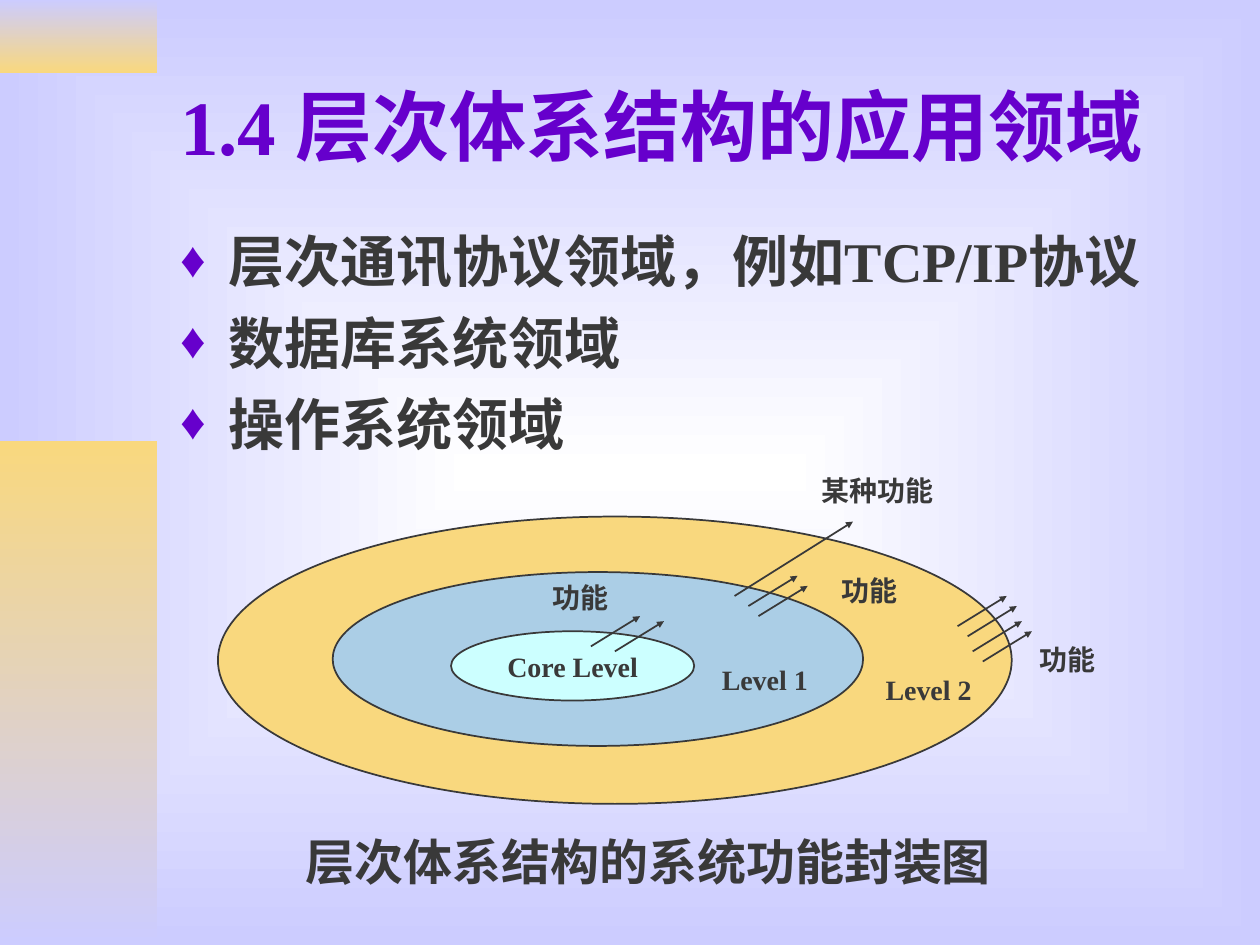
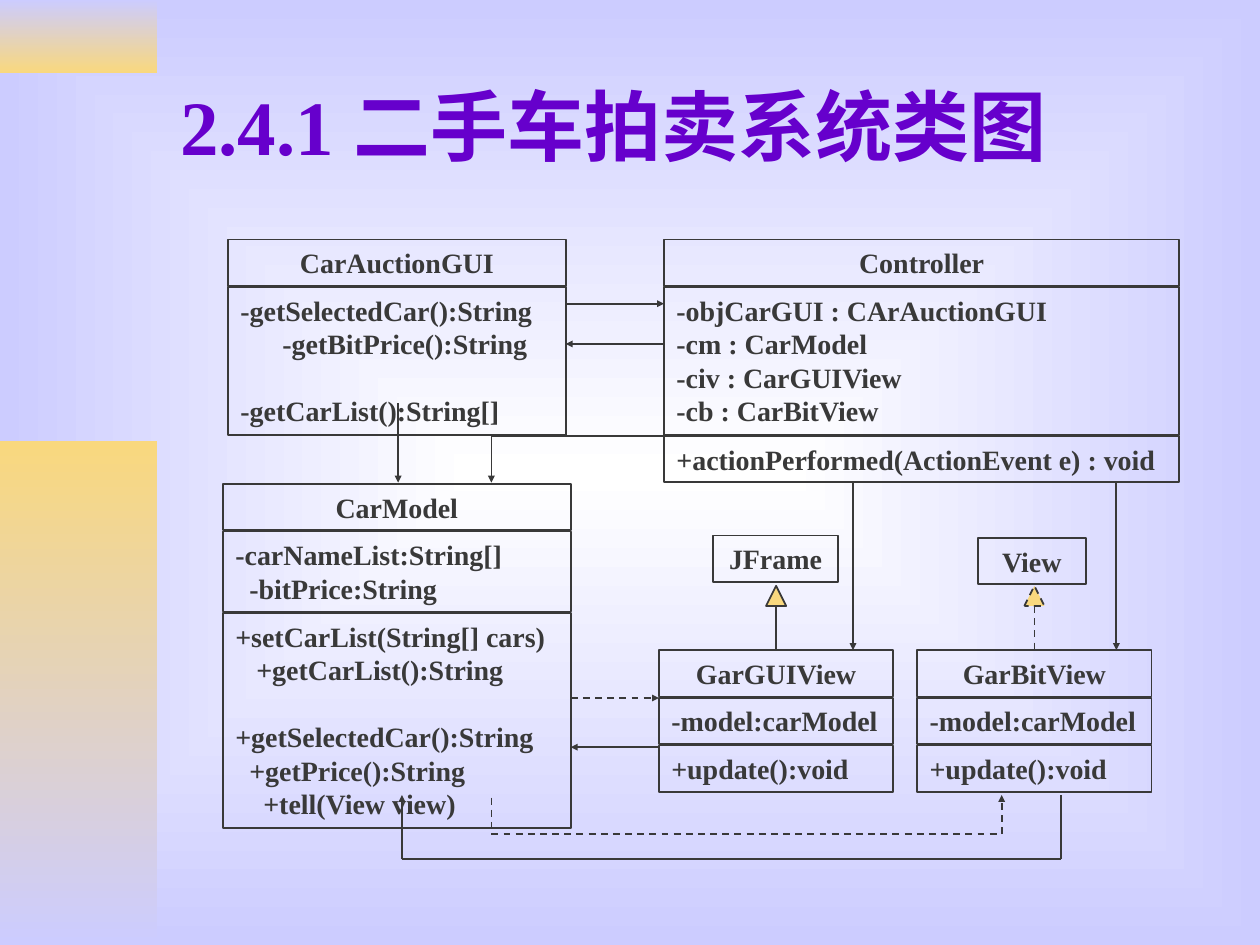
from itertools import pairwise
from lxml.etree import SubElement
from pptx import Presentation
from pptx.dml.color import RGBColor
from pptx.enum.dml import MSO_LINE
from pptx.enum.shapes import MSO_CONNECTOR, MSO_SHAPE
from pptx.enum.text import MSO_ANCHOR, MSO_AUTO_SIZE, PP_ALIGN
from pptx.oxml.ns import qn
from pptx.util import Inches, Pt

WIDE, HIGH = Inches(10), Inches(7.5)
COLS = 100
FONT = "Times New Roman"
HUE = {
    "ink": "393939", "title": "6600CC", "gold": "F9D87E", "lilac": "CCCCFF",
    "white": "FFFFFF", "blue": "99CCFF", "aqua": "CCFFFF",
}


def grid(*cells):
    """Turn grid cells into slide lengths."""
    return [round(cell * WIDE / COLS) for cell in cells]


def tone(name):
    """Look up a colour by its name."""
    return RGBColor.from_string(HUE[name])


def style(par, size=16, hue="ink", align=PP_ALIGN.LEFT):
    """Format one paragraph."""
    par.alignment = align
    par.line_spacing = Pt(size * 1.2)
    par.space_before = Pt(0)
    par.font.name = FONT
    par.font.size = Pt(size)
    par.font.bold = True
    par.font.color.rgb = tone(hue)


def blend(fill, first, last):
    """Fill with a top-down gradient."""
    fill.gradient()
    for stop, name in zip(fill.gradient_stops, (first, last)):
        stop.color.rgb = tone(name)
    fill.gradient_angle = 270


def shape(slide, kind, box, fill=None, dash=False):
    """Add a thin-lined preset shape."""
    item = slide.shapes.add_shape(kind, *grid(*box))
    item.shadow.inherit = False
    if fill:
        item.fill.solid()
        item.fill.fore_color.rgb = tone(fill)
    else:
        item.fill.background()
    pen(item.line, dash)
    return item


def pen(line, dash=False):
    """Set the common line look."""
    line.color.rgb = tone("ink")
    line.width = Pt(1)
    if dash:
        line.dash_style = MSO_LINE.DASH


def route(slide, left, top, points, dash=False, head=True):
    """Draw a path of straight lines and return its last line."""
    spots = [grid(left + x, top + y) for x, y in points]
    for start, end in pairwise(spots):
        link = slide.shapes.add_connector(MSO_CONNECTOR.STRAIGHT, *start, *end)
        pen(link.line, dash)
        SubElement(link._element.spPr, qn("a:effectLst"))
    if head:
        SubElement(link.line._get_or_add_ln(), qn("a:tailEnd"),
                   type="triangle", w="sm", len="sm")
    return link


def label(slide, x, y, width, height, text, size=16):
    """Add a one-line text box."""
    box = slide.shapes.add_textbox(*grid(x, y, width, height))
    box.text_frame.word_wrap = False
    box.text_frame.text = text
    style(box.text_frame.paragraphs[0], size)


def bands(slide, master):
    """Put the side bands on the master."""
    rows = [(0, 5.8, "lilac", "gold"), (35, 40, "gold", "lilac")]
    for spot, (top, height, first, last) in enumerate(rows, 2):
        band = shape(slide, MSO_SHAPE.RECTANGLE, (0, top, 12.5, height))
        blend(band.fill, first, last)
        band.line.fill.background()
        master.shapes._spTree.insert(spot, band._element)


def theme(deck, slide):
    """Dress the master with its background and bands."""
    master = deck.slide_master
    blend(master.background.fill, "white", "lilac")
    grad = master.element.xpath("./p:cSld/p:bg//a:gradFill")[0]
    grad.remove(grad.find(qn("a:lin")))
    ray = SubElement(grad, qn("a:path"), path="rect")
    SubElement(ray, qn("a:fillToRect"), l="50000", t="50000", r="50000", b="50000")
    bands(slide, master)


def place(item, box):
    """Move a placeholder and return its text frame."""
    item.left, item.top, item.width, item.height = grid(*box)
    frame = item.text_frame
    frame.auto_size = MSO_AUTO_SIZE.NONE
    frame.word_wrap = True
    return frame


def title(slide, text):
    """Fill the slide title."""
    frame = place(slide.shapes.title, (13.3, 3.3, 85, 13.2))
    frame.vertical_anchor = MSO_ANCHOR.MIDDLE
    frame.text = text
    style(frame.paragraphs[0], 44, "title")


def points(slide, box, lines):
    """Fill the body with diamond bullets."""
    frame = place(slide.placeholders[1], box)
    frame.text = "\n".join(lines)
    for row, par in enumerate(frame.paragraphs):
        props = par._p.get_or_add_pPr()
        props.set("marL", str(Inches(0.38)))
        props.set("indent", str(-Inches(0.38)))
        paint = SubElement(props, qn("a:buClr"))
        SubElement(paint, qn("a:srgbClr"), val=HUE["title"])
        SubElement(props, qn("a:buSzPct"), val="90000")
        SubElement(props, qn("a:buFont"), typeface=FONT)
        SubElement(props, qn("a:buChar"), char="♦")
        style(par, 32)
        if row:
            par.space_before = Pt(8)


def rings(slide, left, top):
    """Draw the nested levels with their calls."""
    oval = MSO_SHAPE.OVAL
    shape(slide, oval, (left, top, 63, 22.8), "gold")
    mid = shape(slide, oval, (left + 9.1, top + 4.4, 42.1, 13.8), "blue")
    paint = mid._element.spPr.find(qn("a:solidFill"))[0]
    SubElement(paint, qn("a:alpha"), val="81000")
    core = shape(slide, oval, (left + 18.5, top + 9.1, 19.3, 5.5), "aqua")
    core.text_frame.word_wrap = False
    core.text_frame.vertical_anchor = MSO_ANCHOR.MIDDLE
    core.text_frame.text = "Core Level"
    style(core.text_frame.paragraphs[0], align=PP_ALIGN.CENTER)
    tags = [
        (39, 11.1, 8.8, "Level 1"), (52, 11.9, 8.8, "Level 2"),
        (25.6, 4.6, 6.4, "功能"), (48.5, 4, 6.4, "功能"),
        (64.2, 9.5, 6.4, "功能"), (46.9, -3.9, 13.8, "某种功能"),
    ]
    for x, y, width, text in tags:
        label(slide, left + x, top + y, width, 3.7, text)
    starts = [
        (29.6, 10.3), (31.5, 10.7), (42.9, 7.9), (42.1, 7.1),
        (59.5, 9.5), (60.7, 11.5), (59.9, 10.7), (58.7, 8.7),
    ]
    for x, y in starts:
        route(slide, left, top, [(x, y), (x + 3.9, y - 2.4)])
    route(slide, left, top, [(41, 6.3), (50.4, 0.4)])


def block(slide, left, top, width, name, *parts):
    """Stack a class box and return its name cell."""
    cells = []
    for part in ([(name, 0, 0)], *parts):
        lines = sum(1 + gap for _, _, gap in part)
        height = 1 + 2.68 * lines
        cell = shape(slide, MSO_SHAPE.RECTANGLE, (left, top, width, height))
        frame = cell.text_frame
        frame.word_wrap = True
        frame.vertical_anchor = MSO_ANCHOR.TOP
        frame.text = "\n".join(text for text, _, _ in part)
        align = PP_ALIGN.LEFT if cells else PP_ALIGN.CENTER
        for par, (_, shift, gap) in zip(frame.paragraphs, part):
            par._p.get_or_add_pPr().set("marL", str(Pt(4 * shift)))
            style(par, align=align)
            par.space_before = Pt(19.2 * gap)
        cells.append(cell)
        top += height + 0.1
    return cells[0]


def flat(*lines):
    """Give lines no shift and no gap."""
    return [(line, 0, 0) for line in lines]


def classes(slide, left, top):
    """Draw the class diagram."""
    block(slide, left + 0.4, top, 26.8, "CarAuctionGUI", [
        ("-getSelectedCar():String", 0, 0), ("-getBitPrice():String", 6, 0),
        ("-getCarList():String[]", 0, 1)])
    block(slide, left, top + 19.4, 27.6, "CarModel", [
        ("-carNameList:String[]", 0, 0), ("-bitPrice:String", 2, 0)], [
        ("+setCarList(String[] cars)", 0, 0), ("+getCarList():String", 3, 0),
        ("+getSelectedCar():String", 0, 1), ("+getPrice():String", 2, 0),
        ("+tell(View view)", 4, 0)])
    block(slide, left + 35, top, 40.9, "Controller", flat(
        "-objCarGUI : CArAuctionGUI", "-cm : CarModel",
        "-civ : CarGUIView", "-cb : CarBitView"),
        flat("+actionPerformed(ActionEvent e) : void"))
    block(slide, left + 38.9, top + 23.5, 9.9, "JFrame")
    block(slide, left + 59.9, top + 23.7, 8.6, "View")
    for x, name, dash in [(34.6, "GarGUIView", False), (55.1, "GarBitView", True)]:
        child = block(slide, left + x, top + 32.6, 18.6, name,
                      flat("-model:carModel"), flat("+update():void"))
        mid = x + 9.3
        shape(slide, MSO_SHAPE.ISOSCELES_TRIANGLE,
              (left + mid - 0.8, top + 27.5, 1.6, 1.6), "gold", dash)
        stem = route(slide, left, top, [(mid, 29.1), (mid, 32.6)], dash, False)
        stem.end_connect(child, 0)
    solid = [
        [(50, 19.3), (50, 32.6)], [(70.9, 19.3), (70.9, 32.6)],
        [(27.2, 5.1), (35, 5.1)], [(35, 8.3), (27.2, 8.3)],
        [(13.9, 13), (13.9, 19.3)], [(35, 15.6), (21.3, 15.6), (21.3, 19.3)],
        [(34.6, 40.3), (27.6, 40.3)],
        [(66.5, 44.1), (66.5, 49.2), (14.2, 49.2), (14.2, 44.1)],
    ]
    dashed = [
        [(27.6, 36.4), (34.6, 36.4)],
        [(21.3, 44.3), (21.3, 47.2), (61.8, 47.2), (61.8, 44.1)],
    ]
    for dash, paths in [(False, solid), (True, dashed)]:
        for path in paths:
            route(slide, left, top, path, dash)


def main():
    """Build and save both slides."""
    deck = Presentation()
    deck.slide_width, deck.slide_height = WIDE, HIGH
    uses = deck.slides.add_slide(deck.slide_layouts[1])
    theme(deck, uses)
    title(uses, "1.4 层次体系结构的应用领域")
    points(uses, (13.3, 17.5, 85, 24.3), [
        "层次通讯协议领域，例如TCP/IP协议", "数据库系统领域", "操作系统领域"])
    rings(uses, 17.3, 41)
    label(uses, 23.3, 65.5, 58, 5.7, "层次体系结构的系统功能封装图", 28)
    cars = deck.slides.add_slide(deck.slide_layouts[5])
    title(cars, "2.4.1 二手车拍卖系统类图")
    classes(cars, 17.7, 19)
    deck.save("out.pptx")


if __name__ == "__main__":
    main()
